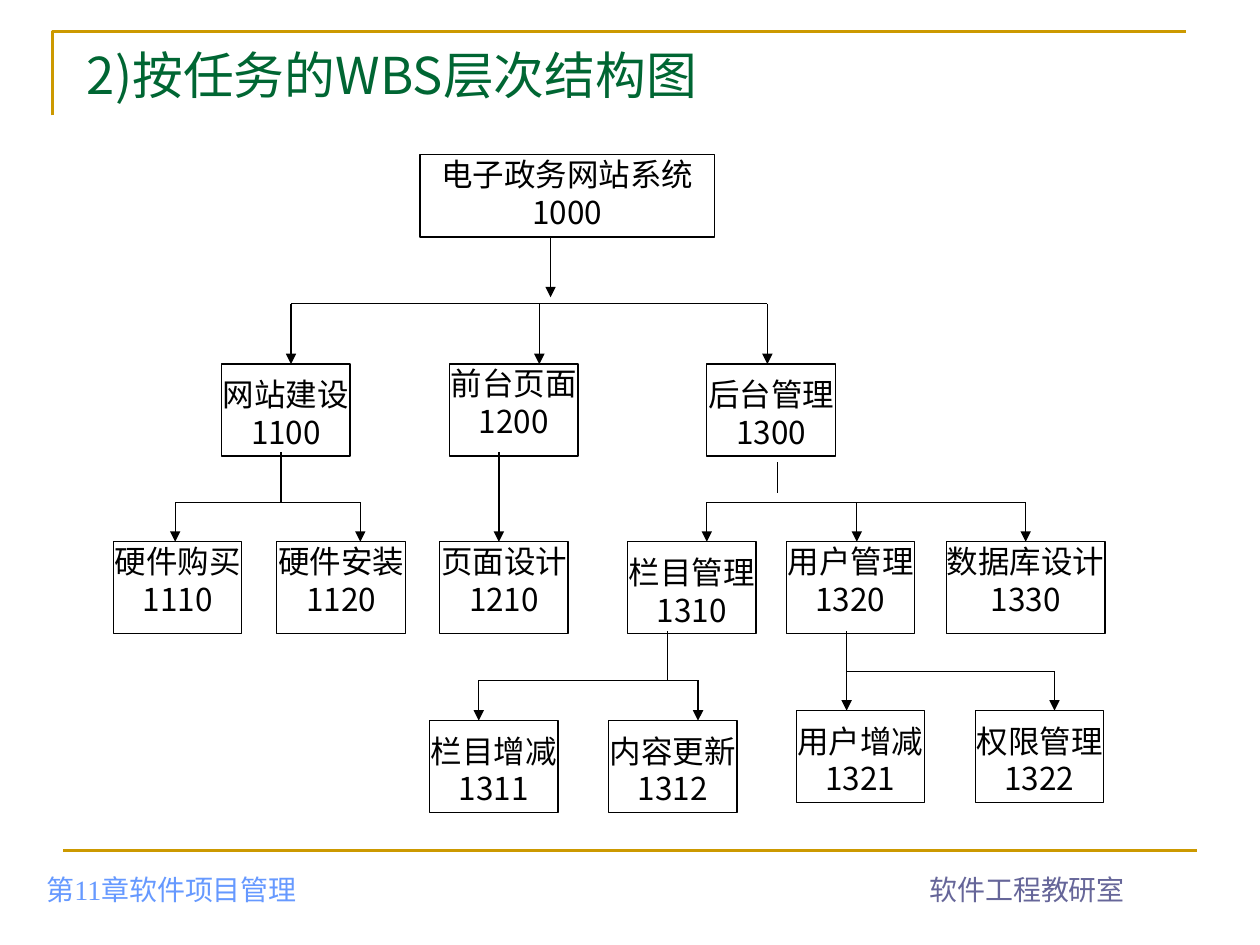
from lxml import etree
from pptx import Presentation
from pptx.dml.color import RGBColor
from pptx.enum.shapes import MSO_CONNECTOR, MSO_SHAPE
from pptx.enum.text import MSO_ANCHOR, MSO_AUTO_SIZE, PP_ALIGN
from pptx.oxml.ns import qn
from pptx.util import Pt

SANS = "Noto Sans CJK SC"
SERIF = "Times New Roman"
BOX_W, BOX_H = 73.4, 52.6
LEVEL2_Y, LEVEL3_Y = 208.1, 309.6
COLUMN_Y, USER_Y = 411.8, 406.1
LOWERED = 6.3

TASKS = [
    ("电子政务网站系统", "1000", 240, 88.5, 168.5, 47, 0),
    ("网站建设", "1100", 126.7, LEVEL2_Y, BOX_W, BOX_H, LOWERED),
    ("前台页面", "1200", 257, LEVEL2_Y, BOX_W, BOX_H, 0),
    ("后台管理", "1300", 403.9, LEVEL2_Y, BOX_W, BOX_H, LOWERED),
    ("硬件购买", "1110", 64.8, LEVEL3_Y, BOX_W, BOX_H, 0),
    ("硬件安装", "1120", 158.2, LEVEL3_Y, BOX_W, BOX_H, 0),
    ("页面设计", "1210", 251.3, LEVEL3_Y, BOX_W, BOX_H, 0),
    ("栏目管理", "1310", 358.6, LEVEL3_Y, BOX_W, BOX_H, LOWERED),
    ("用户管理", "1320", 449.3, LEVEL3_Y, BOX_W, BOX_H, 0),
    ("数据库设计", "1330", 540.7, LEVEL3_Y, 90.8, BOX_H, 0),
    ("栏目增减", "1311", 245.5, COLUMN_Y, BOX_W, BOX_H, LOWERED),
    ("内容更新", "1312", 347.8, COLUMN_Y, BOX_W, BOX_H, LOWERED),
    ("用户增减", "1321", 455, USER_Y, BOX_W, BOX_H, LOWERED),
    ("权限管理", "1322", 557.3, USER_Y, BOX_W, BOX_H, LOWERED),
]


def color(value):
    """Return the colour of a hex string."""
    return RGBColor.from_string(value)


def add_run(p, text, size, hex_color, font=SANS):
    """Append a formatted run to a paragraph."""
    r = p.add_run()
    r.text = text
    r.font.size = Pt(size)
    r.font.name = font
    r.font.color.rgb = color(hex_color)
    ea = etree.SubElement(r.font._element, qn("a:ea"))
    ea.set("typeface", SANS)


def add_title(s, text):
    """Place and fill the title placeholder."""
    sp = s.shapes.title
    sp.left, sp.top, sp.width, sp.height = Pt(42.5), Pt(28), Pt(623.5), Pt(29)
    tf = sp.text_frame
    tf.auto_size = MSO_AUTO_SIZE.NONE
    tf.vertical_anchor = MSO_ANCHOR.MIDDLE
    p = tf.paragraphs[0]
    p.alignment = PP_ALIGN.LEFT
    add_run(p, text, 29, "006633")


def add_footer(s, text, x, w, hex_color, align):
    """Add a footer text box."""
    sp = s.shapes.add_textbox(Pt(x), Pt(485.3), Pt(w), Pt(36))
    tf = sp.text_frame
    tf.word_wrap = True
    tf.vertical_anchor = MSO_ANCHOR.BOTTOM
    p = tf.paragraphs[0]
    p.alignment = align
    add_run(p, text, 16, hex_color, SERIF)


def add_corner(s):
    """Draw the open corner rule around the title."""
    builder = s.shapes.build_freeform(Pt(30), Pt(66), scale=1.0)
    builder.add_line_segments([(Pt(30), Pt(18)), (Pt(678), Pt(18))], close=False)
    sp = builder.convert_to_shape()
    sp.shadow.inherit = False
    sp.fill.background()
    sp.line.color.rgb = color("CC9900")
    sp.line.width = Pt(1.5)


def add_task(s, name, code, x, y, w, h, inset):
    """Add a task box with its name and WBS code."""
    sp = s.shapes.add_shape(MSO_SHAPE.RECTANGLE, Pt(x), Pt(y), Pt(w), Pt(h))
    sp.shadow.inherit = False
    sp.fill.solid()
    sp.fill.fore_color.rgb = color("FFFFFF")
    sp.line.color.rgb = color("000000")
    sp.line.width = Pt(0.75)
    tf = sp.text_frame
    tf.word_wrap = True
    tf.vertical_anchor = MSO_ANCHOR.TOP
    tf.margin_left = tf.margin_right = tf.margin_bottom = 0
    tf.margin_top = Pt(inset)
    for p, text in ((tf.paragraphs[0], name), (tf.add_paragraph(), code)):
        p.alignment = PP_ALIGN.CENTER
        add_run(p, text, 18, "000000")
    return sp


def add_line(s, x1, y1, x2, y2, arrow=False, hex_color="000000", width=0.75):
    """Add a straight line, with an arrowhead at its end if asked."""
    cx = s.shapes.add_connector(
        MSO_CONNECTOR.STRAIGHT, Pt(x1), Pt(y1), Pt(x2), Pt(y2))
    cx.line.color.rgb = color(hex_color)
    cx.line.width = Pt(width)
    if arrow:
        ln = cx.line._get_or_add_ln()
        etree.SubElement(ln, qn("a:tailEnd")).set("type", "triangle")
    etree.SubElement(cx._element.spPr, qn("a:effectLst"))
    return cx


def add_branch(s, y, xs, y_end):
    """Add a horizontal bar with an arrow down at each x."""
    add_line(s, xs[0], y, xs[-1], y)
    return [add_line(s, x, y, x, y_end, True) for x in xs]


def main():
    """Build the slide."""
    prs = Presentation()
    prs.slide_width, prs.slide_height = Pt(720), Pt(540)
    s = prs.slides.add_slide(prs.slide_layouts[5])
    add_corner(s)
    add_line(s, 36, 486, 684, 486, hex_color="CC9900", width=1.5)
    add_footer(s, "第11章软件项目管理", 19.5, 283.5, "6699FF", PP_ALIGN.LEFT)
    add_footer(s, "软件工程教研室", 473, 228, "666699", PP_ALIGN.CENTER)
    add_title(s, "2)按任务的WBS层次结构图")

    boxes = {task[1]: add_task(s, *task) for task in TASKS}

    add_line(s, 314.6, 135.4, 314.6, 169.9, True)
    add_branch(s, 173.5, [166.3, 308.2, 438.5], LEVEL2_Y)
    add_line(s, 160.6, 258.5, 160.6, 287)
    add_branch(s, 287, [100.1, 205.9], LEVEL3_Y)
    add_line(s, 285.1, 258.5, 285.1, LEVEL3_Y, True)
    add_line(s, 444.2, 264.2, 444.2, 281.5)
    arrows = add_branch(s, 287, [403.9, 489.6, 586.1], LEVEL3_Y)
    arrows[-1].end_connect(boxes["1330"], 0)
    add_line(s, 381.6, 360.7, 381.6, 388.8)
    add_branch(s, 388.8, [273.6, 398.9], COLUMN_Y)
    add_line(s, 483.8, 360.7, 483.8, 383.8)
    add_branch(s, 383.8, [483.8, 602.6], USER_Y)
    prs.save("out.pptx")


if __name__ == "__main__":
    main()
